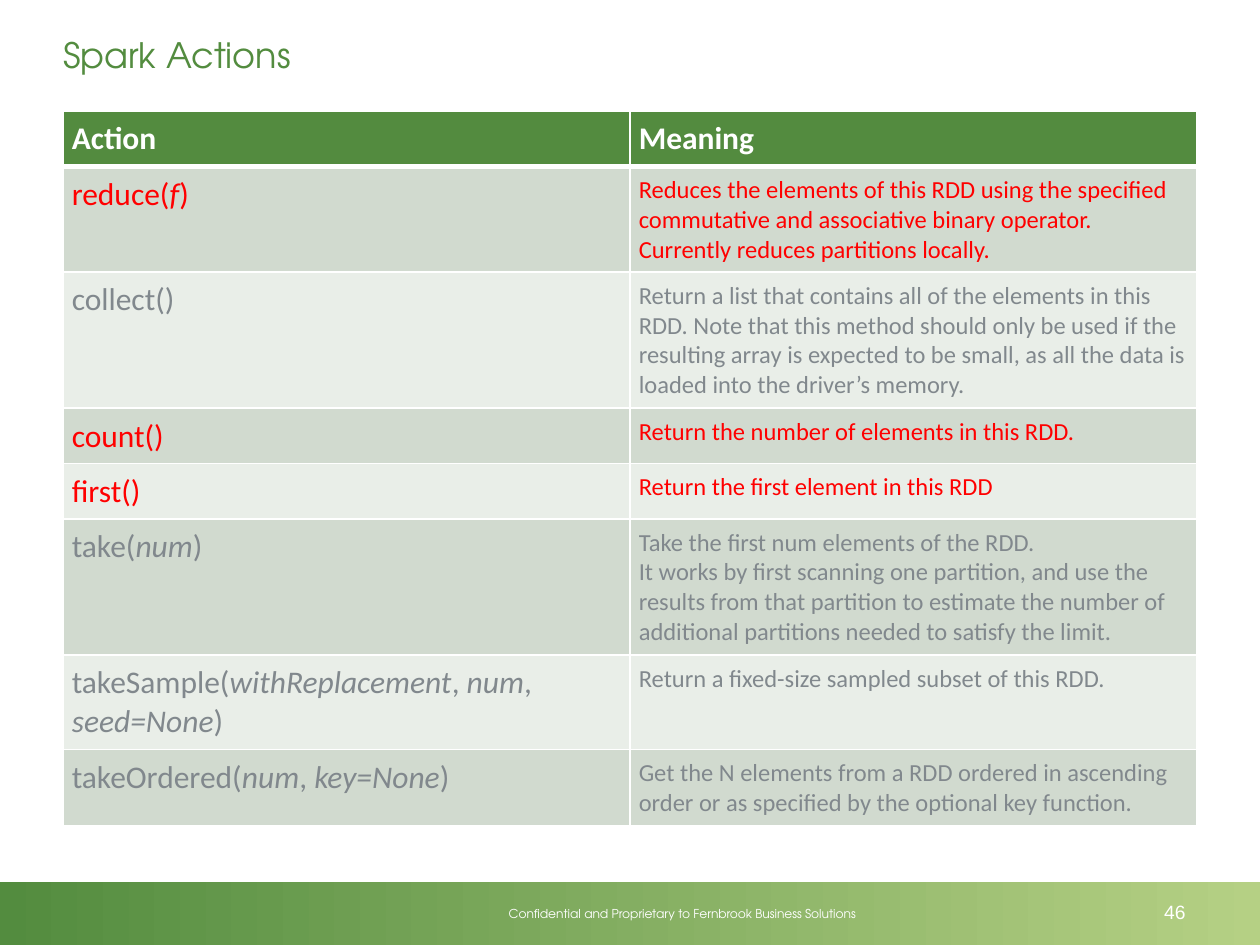
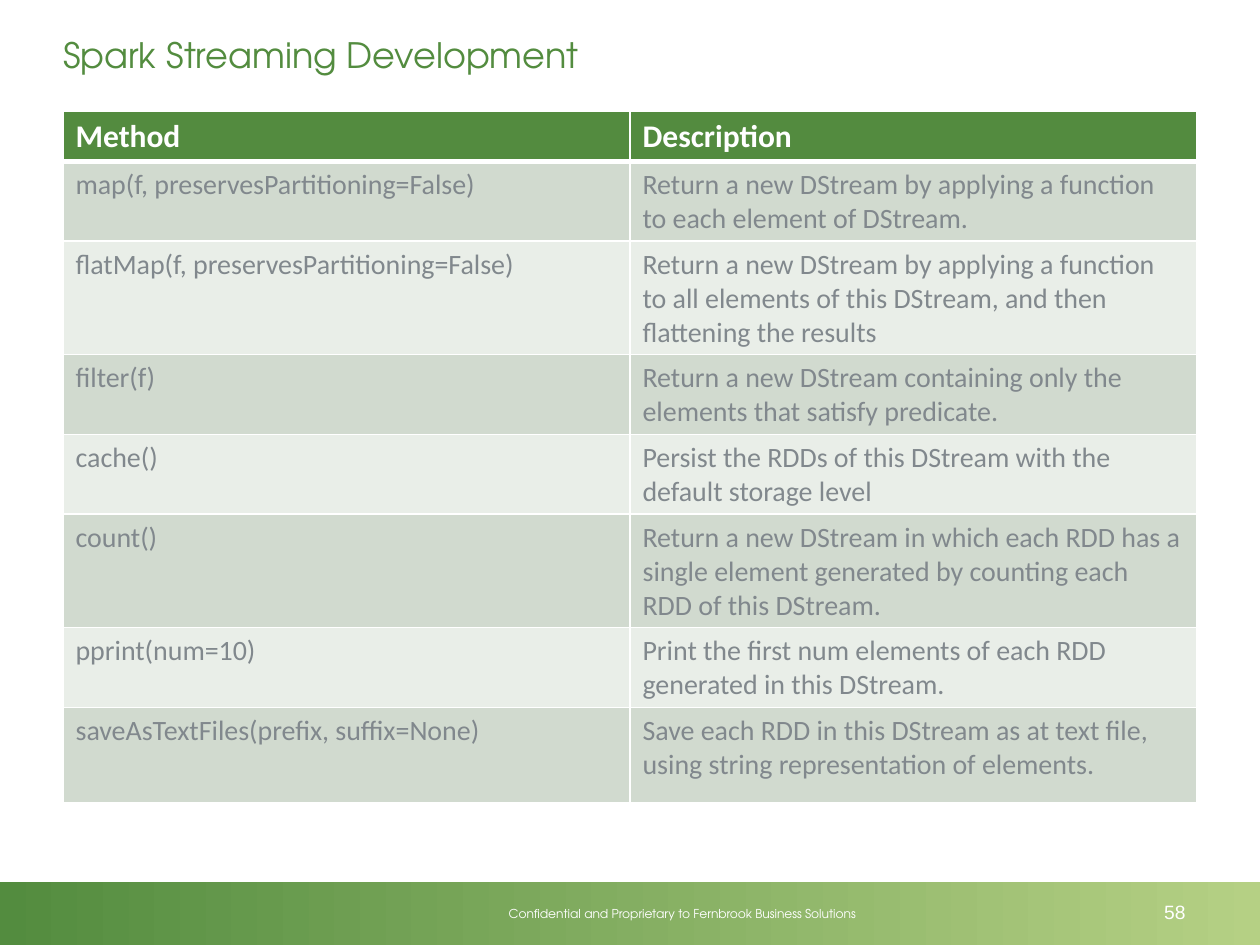
from lxml import etree
from pptx import Presentation
from pptx.dml.color import RGBColor
from pptx.enum.shapes import MSO_SHAPE
from pptx.enum.text import MSO_ANCHOR, MSO_AUTO_SIZE, PP_ALIGN
from pptx.oxml.ns import qn
from pptx.util import Inches, Pt

LEFT, CENTER = PP_ALIGN.LEFT, PP_ALIGN.CENTER
MIDDLE, TOP = MSO_ANCHOR.MIDDLE, MSO_ANCHOR.TOP
FIXED = MSO_AUTO_SIZE.NONE
RECTANGLE = MSO_SHAPE.RECTANGLE

# Content: *stars* mark italics, a line break starts a new paragraph
FOOTER = "Confidential and Proprietary to Fernbrook Business Solutions"

ACTIONS = {
    "title": "Spark Actions",
    "page": "46",
    "insets": (0.07, 0.07),
    "sizes": (18, 14),
    "highlighted": {"reduce(*f*)", "count()", "first()"},
    "header": ("Action", "Meaning"),
    "heights": (0.43, 0.84, 1.08, 0.44, 0.44, 1.08, 0.75, 0.6),
    "rows": [
        ("reduce(*f*)",
         "Reduces the elements of this RDD using the specified commutative and "
         "associative binary operator. Currently reduces partitions locally."),
        ("collect()",
         "Return a list that contains all of the elements in this RDD. Note that "
         "this method should only be used if the resulting array is expected to be "
         "small, as all the data is loaded into the driver’s memory."),
        ("count()", "Return the number of elements in this RDD."),
        ("first()", "Return the first element in this RDD"),
        ("take(*num*)",
         "Take the first num elements of the RDD.\n"
         "It works by first scanning one partition, and use the results from that "
         "partition to estimate the number of additional partitions needed to "
         "satisfy the limit."),
        ("takeSample(*withReplacement*, *num*, *seed=None*)",
         "Return a fixed-size sampled subset of this RDD."),
        ("takeOrdered(*num*, *key=None*)",
         "Get the N elements from a RDD ordered in ascending order or as specified "
         "by the optional key function."),
    ],
}

STREAMING = {
    "title": "Spark Streaming Development",
    "page": "58",
    "insets": (0.1, 0.05),
    "sizes": (16, 16),
    "highlighted": set(),
    "header": ("Method", "Description"),
    "heights": (0.39, 0.63, 0.9, 0.63, 0.63, 0.9, 0.63, 0.76),
    "rows": [
        ("map(f, preservesPartitioning=False)",
         "Return a new DStream by applying a function to each element of DStream."),
        ("flatMap(f, preservesPartitioning=False)",
         "Return a new DStream by applying a function to all elements of this "
         "DStream, and then flattening the results"),
        ("filter(f)",
         "Return a new DStream containing only the elements that satisfy predicate."),
        ("cache()",
         "Persist the RDDs of this DStream with the default storage level"),
        ("count()",
         "Return a new DStream in which each RDD has a single element generated by "
         "counting each RDD of this DStream."),
        ("pprint(num=10)",
         "Print the first num elements of each RDD generated in this DStream."),
        ("saveAsTextFiles(prefix, suffix=None)",
         "Save each RDD in this DStream as at text file, using string "
         "representation of elements."),
    ],
}

# Theme
THEME = {
    "green": "538C3F", "lime": "B5D084", "header": "538B3F",
    "bands": ("D1DACF", "E9EEE8"),
    "white": "FFFFFF", "grey": "81888D", "red": "FF0000",
    "display": "TeX Gyre Adventor", "body": "Calibri", "number": "Arial",
    "title_size": 20, "header_size": 18, "footer_size": 7, "page_size": 11,
    "rule": 1, "header_rule": 3,
}

# Layout, in inches
WIDTH, HEIGHT = 10, 7.5
MARGIN = 0.5
TITLE_BOX = (0, 0, WIDTH, 0.87)
TABLE_TOP, TABLE_WIDTH = 0.88, WIDTH - 2 * MARGIN
BAND_BOX = (0, 7, WIDTH, HEIGHT - 7)
FOOTER_BOX = (2.7, 7.14, 5.43, 0.22)
PAGE_BOX = (9.04, 7.04, 0.57, 0.4)


def rgb(name):
    return RGBColor.from_string(THEME.get(name, name))


def apply(target, **values):
    for attribute, value in values.items():
        setattr(target, attribute, value)


def insets(target, left, top, right=None, bottom=None):
    apply(target, margin_left=Inches(left), margin_top=Inches(top),
          margin_right=Inches(left if right is None else right),
          margin_bottom=Inches(top if bottom is None else bottom))


def write(frame, text, size, color, face, align=LEFT, bold=False):
    for index, line in enumerate(text.split("\n")):
        paragraph = frame.paragraphs[0] if index == 0 else frame.add_paragraph()
        apply(paragraph, alignment=align, space_before=Pt(0))
        for part, words in enumerate(line.split("*")):
            if words:
                run = paragraph.add_run()
                run.text = words
                apply(run.font, name=THEME[face], size=Pt(size), bold=bold,
                      italic=part % 2 == 1)
                run.font.color.rgb = rgb(color)


def add_title(slide, text):
    title = slide.shapes.title
    apply(title, **dict(zip(("left", "top", "width", "height"), map(Inches, TITLE_BOX))))
    frame = title.text_frame
    apply(frame, word_wrap=True, auto_size=FIXED, vertical_anchor=MIDDLE)
    insets(frame, MARGIN, 0, right=0.3)
    write(frame, text, THEME["title_size"], "green", "display")


def add_label(slide, box, text, size, face, anchor):
    frame = slide.shapes.add_textbox(*map(Inches, box)).text_frame
    apply(frame, word_wrap=True, vertical_anchor=anchor)
    write(frame, text, size, "white", face, CENTER)


def add_footer(slide, page):
    band = slide.shapes.add_shape(RECTANGLE, *map(Inches, BAND_BOX))
    band.shadow.inherit = False
    band.line.fill.background()
    band.fill.gradient()
    band.fill.gradient_angle = 0
    for stop, color in zip(band.fill.gradient_stops, ("green", "lime")):
        stop.color.rgb = rgb(color)
    add_label(slide, FOOTER_BOX, FOOTER, THEME["footer_size"], "display", TOP)
    add_label(slide, PAGE_BOX, page, THEME["page_size"], "number", MIDDLE)


def set_borders(cell, top, bottom):
    properties = cell._tc.get_or_add_tcPr()
    widths = {"lnL": THEME["rule"], "lnR": THEME["rule"], "lnT": top, "lnB": bottom}
    for index, (side, width) in enumerate(widths.items()):
        line = etree.Element(qn(f"a:{side}"), w=str(Pt(width)))
        fill = etree.SubElement(line, qn("a:solidFill"))
        etree.SubElement(fill, qn("a:srgbClr"), val=THEME["white"])
        properties.insert(index, line)


def add_method_table(slide, content):
    rows = [content["header"], *content["rows"]]
    columns = len(content["header"])
    table = slide.shapes.add_table(
        len(rows), columns, Inches(MARGIN), Inches(TABLE_TOP),
        Inches(TABLE_WIDTH), Inches(sum(content["heights"]))).table
    table.horz_banding = False
    for column in table.columns:
        column.width = Inches(TABLE_WIDTH / columns)

    for r, (texts, height) in enumerate(zip(rows, content["heights"])):
        table.rows[r].height = Inches(height)
        is_header = r == 0
        if is_header:
            fill, color, sizes = "header", "white", [THEME["header_size"]] * columns
        else:
            fill = THEME["bands"][(r - 1) % 2]
            color = "red" if texts[0] in content["highlighted"] else "grey"
            sizes = content["sizes"]
        for c, (text, size) in enumerate(zip(texts, sizes)):
            cell = table.cell(r, c)
            cell.fill.solid()
            cell.fill.fore_color.rgb = rgb(fill)
            insets(cell, *content["insets"])
            set_borders(cell, THEME["header_rule" if r == 1 else "rule"],
                        THEME["header_rule" if is_header else "rule"])
            write(cell.text_frame, text, size, color, "body", bold=is_header)


def main():
    deck = Presentation()
    apply(deck, slide_width=Inches(WIDTH), slide_height=Inches(HEIGHT))
    title_only = deck.slide_layouts[5]
    for content in (ACTIONS, STREAMING):
        slide = deck.slides.add_slide(title_only)
        add_footer(slide, content["page"])
        add_title(slide, content["title"])
        add_method_table(slide, content)
    deck.save("out.pptx")


if __name__ == "__main__":
    main()
